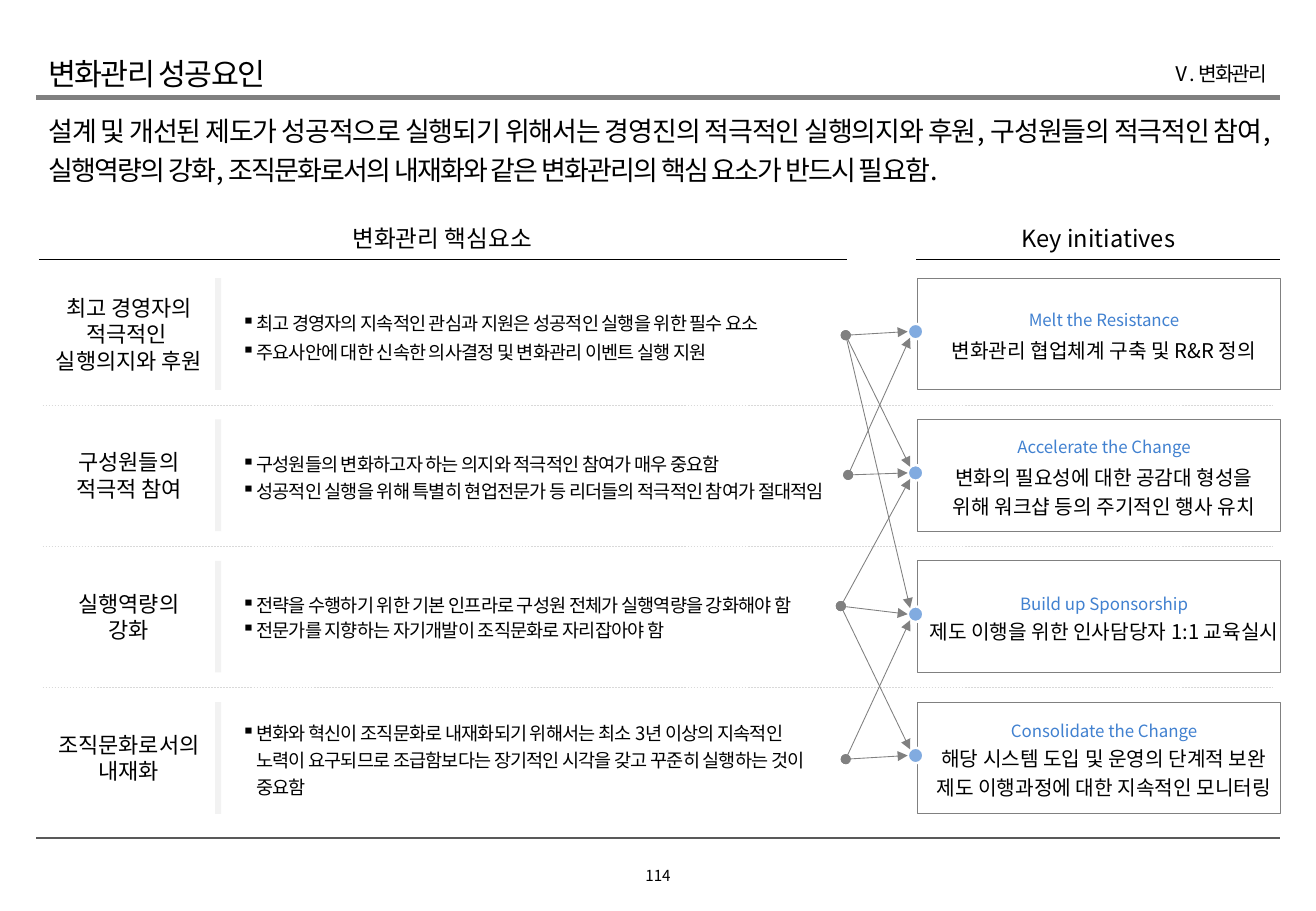
from lxml.etree import SubElement
from pptx import Presentation
from pptx.dml.color import RGBColor
from pptx.enum.dml import MSO_LINE
from pptx.enum.shapes import MSO_CONNECTOR, MSO_SHAPE
from pptx.enum.text import MSO_ANCHOR as ANCHOR, PP_ALIGN as ALIGN
from pptx.oxml.ns import qn
from pptx.util import Emu, Pt

TITLE = "변화관리 성공요인"
CHAPTER = "Ⅴ. 변화관리"
MESSAGE = ("설계 및 개선된 제도가 성공적으로 실행되기 위해서는 경영진의 적극적인 실행의지와 후원, "
           "구성원들의 적극적인 참여, 실행역량의 강화, 조직문화로서의 내재화와 같은 "
           "변화관리의 핵심 요소가 반드시 필요함.")
PAGE_NUMBER = "114"
FACTOR_HEADING = "변화관리 핵심요소"
INITIATIVE_HEADING = "Key initiatives"

# Each factor: label lines, bullets, bullet line spacing, link start (x, y), linked initiatives
FACTORS = [
    (["최고 경영자의", "적극적인 ", "실행의지와 후원"],
     ["최고 경영자의 지속적인 관심과 지원은 성공적인 실행을 위한 필수 요소",
      "주요사안에 대한 신속한 의사결정 및 변화관리 이벤트 실행 지원"],
     1.3, (696, 276), [0, 1, 2]),
    (["구성원들의", "적극적 참여"],
     ["구성원들의 변화하고자 하는 의지와 적극적인 참여가 매우 중요함",
      "성공적인 실행을 위해 특별히 현업전문가 등 리더들의 적극적인 참여가 절대적임"],
     1.2, (698, 391), [0, 1]),
    (["실행역량의", "강화"],
     ["전략을 수행하기 위한 기본 인프라로 구성원 전체가 실행역량을 강화해야 함",
      "전문가를 지향하는 자기개발이 조직문화로 자리잡아야 함"],
     1.1, (692, 499), [1, 2, 3]),
    (["조직문화로서의", "내재화"],
     ["변화와 혁신이 조직문화로 내재화되기 위해서는 최소 3년 이상의 지속적인 노력이 "
      "요구되므로 조급함보다는 장기적인 시각을 갖고 꾸준히 실행하는 것이 중요함"],
     1.2, (696, 625), [2, 3]),
]
# Each initiative: name, action, points after the name
INITIATIVES = [
    ("Melt the Resistance", "변화관리 협업체계 구축 및 R&R 정의", 2),
    ("Accelerate the Change", "변화의 필요성에 대한 공감대 형성을\n위해 워크샵 등의 주기적인 행사 유치", 2),
    ("Build up Sponsorship", "제도 이행을 위한 인사담당자 1:1 교육실시", 0),
    ("Consolidate the Change", "해당 시스템 도입 및 운영의 단계적 보완\n제도 이행과정에 대한 지속적인 모니터링", 0),
]

FONT = "Noto Sans CJK KR"
BLACK = RGBColor(0x00, 0x00, 0x00)
WHITE = RGBColor(0xFF, 0xFF, 0xFF)
DARK_GRAY = RGBColor(0x59, 0x59, 0x59)
GRAY = RGBColor(0x80, 0x80, 0x80)
DASH_GRAY = RGBColor(0xD9, 0xD9, 0xD9)
BAR_GRAY = RGBColor(0xF2, 0xF2, 0xF2)
BLUE = RGBColor(0x41, 0x81, 0xD0)
DOT_BLUE = RGBColor(0x81, 0xAB, 0xE0)

PX = 9144  # 100 px to the inch
ROW_TOPS = [229 + 349 * row / 3 for row in range(4)]
ROW_HEIGHT = 92
DOT_LEFT, DOT_SIZE = 747, 13
DOT_CENTERS = [top + 44 for top in ROW_TOPS]


def px(*lengths):
    return [Emu(round(length * PX)) for length in lengths]


def style(para, size, color=BLACK, align=ALIGN.LEFT, spacing=1.0, after=0, tracking=0):
    para.alignment = align
    para.line_spacing = spacing
    para.space_before = Pt(0)
    para.space_after = Pt(after)
    for span in para.runs:
        span.font.size = Pt(size)
        span.font.name = FONT
        span.font.color.rgb = color
        props = span.font._element
        SubElement(props, qn("a:ea"), typeface=FONT)
        if tracking:
            props.set("spc", str(round(tracking * 100)))


def add_bullet(para):
    props = para._p.get_or_add_pPr()
    props.set("marL", str(12 * PX))
    props.set("indent", str(-12 * PX))
    SubElement(props, qn("a:buChar"), char="▪")


def add_text(bounds, lines, size, anchor=ANCHOR.MIDDLE, bullets=False, wrap=True, **look):
    box = page.shapes.add_textbox(*px(*bounds))
    frame = box.text_frame
    frame.word_wrap = wrap
    frame.vertical_anchor = anchor
    if bullets:
        frame.margin_right = 0
    frame.text = "\n".join(lines)
    for para in frame.paragraphs:
        if bullets:
            add_bullet(para)
        style(para, size, **look)


def add_block(kind, bounds, fill, line=None, width=0):
    block = page.shapes.add_shape(kind, *px(*bounds))
    block.shadow.inherit = False
    block.fill.solid()
    block.fill.fore_color.rgb = fill
    if line is None:
        block.line.fill.background()
    else:
        block.line.color.rgb = line
        block.line.width = Pt(width)
    return block


def add_line(start, end, color, width, dashed=False, arrow=False):
    line = page.shapes.add_connector(MSO_CONNECTOR.STRAIGHT, *px(*start, *end))
    line.line.color.rgb = color
    line.line.width = Pt(width)
    if dashed:
        line.line.dash_style = MSO_LINE.DASH
    if arrow:
        outline = line.line._get_or_add_ln()
        SubElement(outline, qn("a:headEnd"), type="oval")
        SubElement(outline, qn("a:tailEnd"), type="triangle")
    SubElement(line._element.spPr, qn("a:effectLst"))


def add_initiative(top, name, action, after):
    block = add_block(MSO_SHAPE.RECTANGLE, (755, top, 299, ROW_HEIGHT), WHITE, GRAY, 0.5)
    frame = block.text_frame
    frame.word_wrap = True
    frame.vertical_anchor = ANCHOR.MIDDLE
    frame.margin_left, frame.margin_top, frame.margin_right, frame.margin_bottom = px(8, 0, 0, 0)
    heading, detail = frame.paragraphs[0], frame.add_paragraph()
    heading.text, detail.text = name, action
    style(heading, 10, BLUE, ALIGN.CENTER, 1.2, after)
    style(detail, 12, BLACK, ALIGN.CENTER, 1.2, 2)


def link_end(source, target):
    """Point on the rim of the target dot that faces the source row."""
    center = DOT_CENTERS[target]
    if source == target:
        return DOT_LEFT, center
    return DOT_LEFT + 2, center + (5 if source > target else -5)


deck = Presentation()
deck.slide_width, deck.slide_height = px(1083, 750)
page = deck.slides.add_slide(deck.slide_layouts[6])

add_line((30, 690), (1053, 690), DARK_GRAY, 1.5)
add_line((30, 80), (1053, 80), GRAY, 3)
add_text((509, 705, 65, 33), [PAGE_NUMBER], 9, wrap=False, align=ALIGN.CENTER, spacing=0.9)
add_text((30, 84, 1024, 35), [MESSAGE], 16, ANCHOR.TOP,
         align=ALIGN.JUSTIFY, spacing=1.2, tracking=-1)
add_text((635, 43, 418, 35), [CHAPTER], 12, align=ALIGN.RIGHT, tracking=-1)
add_text((30, 43, 600, 35), [TITLE], 18, tracking=-1)

add_text((77, 182, 574, 25), [FACTOR_HEADING], 14, align=ALIGN.CENTER, spacing=1.1)
add_line((32, 214), (697, 214), BLACK, 0.5)
add_text((784, 177, 240, 35), [INITIATIVE_HEADING], 14, ANCHOR.TOP,
         align=ALIGN.CENTER, spacing=1.1)
add_line((754, 214), (1053, 214), BLACK, 0.5)

for top in ROW_TOPS[1:]:
    add_line((35, top - 12), (1048, top - 12), DASH_GRAY, 0.25, dashed=True)

for top, (label, bullets, spacing, _, _), initiative in zip(ROW_TOPS, FACTORS, INITIATIVES):
    add_initiative(top, *initiative)
    add_text((189, top, 491, ROW_HEIGHT), bullets, 11, bullets=True,
             spacing=spacing, tracking=-0.5)
    add_text((32, top, 148, ROW_HEIGHT), label, 13, align=ALIGN.CENTER)
    add_block(MSO_SHAPE.RECTANGLE, (177, top, 5, ROW_HEIGHT), BAR_GRAY)

for center in DOT_CENTERS:
    add_block(MSO_SHAPE.OVAL, (DOT_LEFT, center - DOT_SIZE / 2, DOT_SIZE, DOT_SIZE),
              DOT_BLUE, WHITE, 1.5)

for source, (_, _, _, start, targets) in enumerate(FACTORS):
    for target in targets:
        add_line(start, link_end(source, target), GRAY, 0.5, arrow=True)

deck.save("out.pptx")
